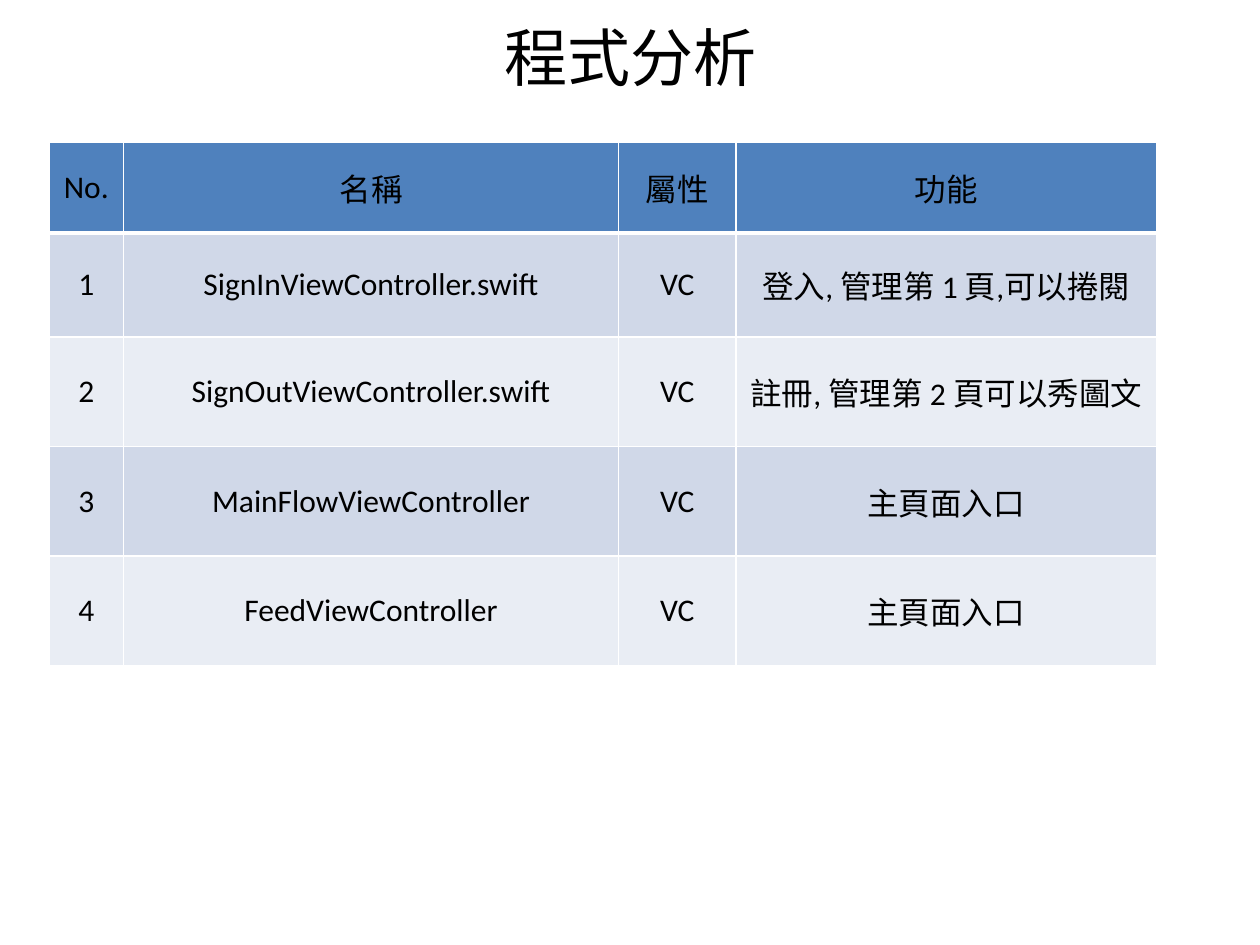
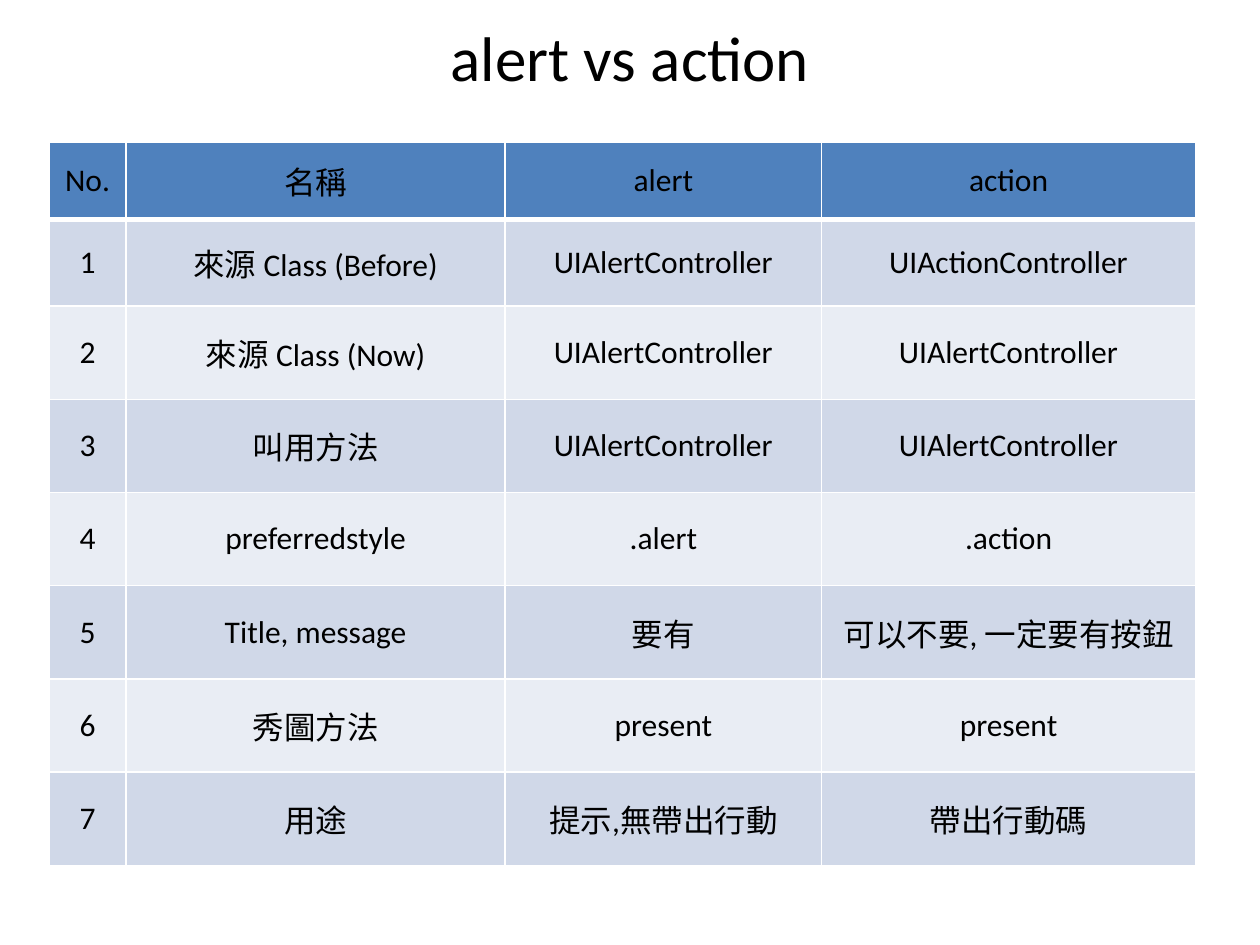
"""Build two slides that each hold a title and a numbered table."""
import dataclasses

import pptx
import pptx.dml.color
import pptx.enum.text
import pptx.oxml
import pptx.oxml.ns
import pptx.util

Inches = pptx.util.Inches
Pt = pptx.util.Pt
RGB = pptx.dml.color.RGBColor.from_string


@dataclasses.dataclass(frozen=True)
class Theme:
    face: str = "Calibri"
    ink: str = "000000"
    head: str = "4F81BD"
    bands: tuple = ("D0D8E8", "E9EDF4")
    rule: str = "FFFFFF"
    thin: int = 1
    thick: int = 3
    title: int = 36
    body: int = 18


class Deck:
    def __init__(self, theme):
        self.theme = theme
        self.show = pptx.Presentation()
        self.show.slide_width = Inches(10)
        self.show.slide_height = Inches(7.5)
        self.slide = None

    def style(self, frame, size):
        frame.vertical_anchor = pptx.enum.text.MSO_ANCHOR.MIDDLE
        for para in frame.paragraphs:
            para.alignment = pptx.enum.text.PP_ALIGN.CENTER
            font = para.font
            font.name = self.theme.face
            font.size = Pt(size)
            font.bold = False
            font.color.rgb = RGB(self.theme.ink)

    def page(self, text):
        self.slide = self.show.slides.add_slide(self.show.slide_layouts[5])
        title = self.slide.shapes.title
        title.left, title.top = Inches(0), Inches(-0.01)
        title.width, title.height = Inches(10), Inches(0.91)
        title.text_frame.text = text
        self.style(title.text_frame, self.theme.title)

    def edge(self, cell, side, width):
        line = pptx.oxml.parse_xml(
            f'<a:ln{side} {pptx.oxml.ns.nsdecls("a")} w="{Pt(width)}">'
            f'<a:solidFill><a:srgbClr val="{self.theme.rule}"/></a:solidFill>'
            f'</a:ln{side}>')
        cell._tc.get_or_add_tcPr().append(line)

    def cell(self, cell, text, row):
        theme = self.theme
        cell.text = text
        self.style(cell.text_frame, theme.body)
        cell.vertical_anchor = pptx.enum.text.MSO_ANCHOR.MIDDLE
        heavy = {0: "B", 1: "T"}.get(row)
        for side in "LRTB":
            self.edge(cell, side, theme.thick if side == heavy else theme.thin)
        cell.fill.solid()
        cell.fill.fore_color.rgb = RGB(theme.bands[(row - 1) % 2] if row else theme.head)

    def table(self, heads, items, widths, heights):
        rows = [("No.", *heads)]
        rows += [(str(num), *item) for num, item in enumerate(items, 1)]
        grid = self.slide.shapes.add_table(
            len(rows), len(widths), Inches(0.39), Inches(1.13),
            Inches(sum(widths)), Inches(sum(heights))).table
        for col, width in zip(grid.columns, widths):
            col.width = Inches(width)
        for row, height in zip(grid.rows, heights):
            row.height = Inches(height)
        for r, texts in enumerate(rows):
            for c, text in enumerate(texts):
                self.cell(grid.cell(r, c), text, r)


def main():
    deck = Deck(Theme())

    deck.page("程式分析")
    deck.table(
        ("名稱", "屬性", "功能"),
        [(name, "VC", role) for name, role in (
            ("SignInViewController.swift", "登入, 管理第 1 頁,可以捲閱"),
            ("SignOutViewController.swift", "註冊, 管理第 2 頁可以秀圖文"),
            ("MainFlowViewController", "主頁面入口"),
            ("FeedViewController", "主頁面入口"),
        )],
        (0.59, 3.93, 0.93, 3.34),
        [0.72, 0.81] + [0.87] * 3)

    deck.page("alert vs action")
    deck.table(
        ("名稱", "alert", "action"),
        [
            ("來源 Class (Before)", "UIAlertController", "UIActionController"),
            ("來源 Class (Now)", "UIAlertController", "UIAlertController"),
            ("叫用方法", "UIAlertController", "UIAlertController"),
            ("preferredstyle", ".alert", ".action"),
            ("Title, message", "要有", "可以不要, 一定要有按鈕"),
            ("秀圖方法", "present", "present"),
            ("用途", "提示,無帶出行動", "帶出行動碼"),
        ],
        (0.61, 3.01, 2.51, 2.97),
        [0.61, 0.69] + [0.74] * 6)

    deck.show.save("out.pptx")


if __name__ == "__main__":
    main()
